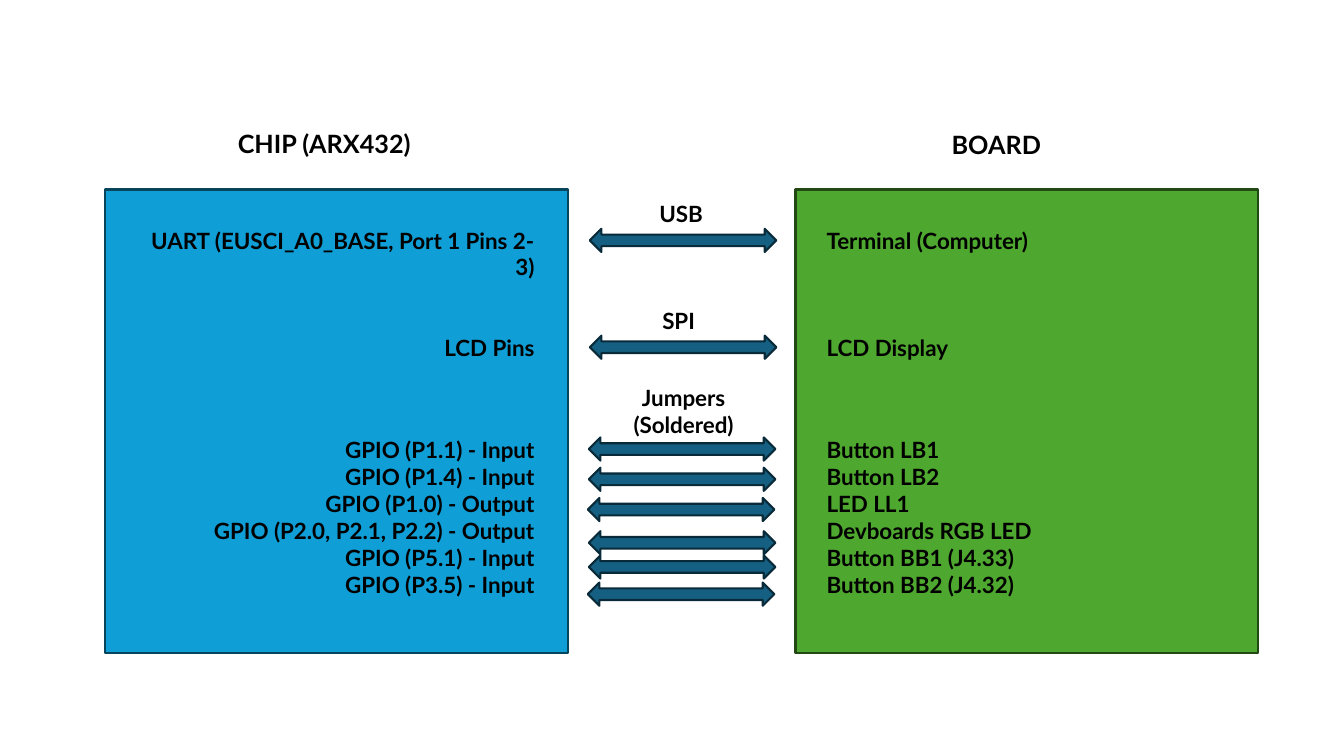
import pptx
import pptx.util
import pptx.dml.color
import pptx.enum.shapes
import pptx.enum.text

Inches = pptx.util.Inches
SHAPES = pptx.enum.shapes.MSO_SHAPE
ALIGN = pptx.enum.text.PP_ALIGN

COLORS = {
    "chip": "0F9ED5", "chip_line": "07455D",
    "board": "4EA72E", "board_line": "224914",
    "arrow": "156082", "arrow_line": "092A39",
    "text": "000000",
}

presentation = pptx.Presentation()
presentation.slide_width = Inches(13.33)
presentation.slide_height = Inches(7.5)
slide = presentation.slides.add_slide(presentation.slide_layouts[6])


def add_block(kind, left, top, width, height, color):
    shape = slide.shapes.add_shape(
        kind, Inches(left), Inches(top), Inches(width), Inches(height))
    shape.shadow.inherit = False
    shape.fill.solid()
    shape.fill.fore_color.rgb = pptx.dml.color.RGBColor.from_string(COLORS[color])
    shape.line.color.rgb = pptx.dml.color.RGBColor.from_string(COLORS[color + "_line"])
    shape.line.width = pptx.util.Pt(1.5)


def add_text(lines, left, top, width, height, align=ALIGN.LEFT, size=16):
    box = slide.shapes.add_textbox(
        Inches(left), Inches(top), Inches(width), Inches(height))
    frame = box.text_frame
    frame.word_wrap = True
    for index, line in enumerate(lines):
        paragraph = frame.paragraphs[0] if index == 0 else frame.add_paragraph()
        paragraph.alignment = align
        run = paragraph.add_run()
        run.text = line
        run.font.name = "Lato"
        run.font.size = pptx.util.Pt(size)
        run.font.bold = True
        run.font.color.rgb = pptx.dml.color.RGBColor.from_string(COLORS["text"])


# Chip and board blocks
add_block(SHAPES.RECTANGLE, 1.04, 1.88, 4.59, 4.6, "chip")
add_block(SHAPES.RECTANGLE, 7.89, 1.88, 4.59, 4.6, "board")

# Headings
add_text(["CHIP (ARX432)"], 2.26, 1.22, 3.21, 0.4, size=18)
add_text(["BOARD"], 9.34, 1.23, 3.21, 0.4, size=18)

# Matching groups of chip pins and board parts: top, height, pins, parts
groups = [
    (2.2, 0.37, ["UART (EUSCI_A0_BASE, Port 1 Pins 2-3)"], ["Terminal (Computer)"]),
    (3.27, 0.37, ["LCD Pins"], ["LCD Display"]),
    (4.28, 1.72,
     ["GPIO (P1.1) - Input", "GPIO (P1.4) - Input", "GPIO (P1.0) - Output",
      "GPIO (P2.0, P2.1, P2.2) - Output", "GPIO (P5.1) - Input",
      "GPIO (P3.5) - Input"],
     ["Button LB1", "Button LB2", "LED LL1", "Devboards RGB LED",
      "Button BB1 (J4.33)", "Button BB2 (J4.32)"]),
]
for top, height, pins, parts in groups:
    add_text(pins, 1.26, top, 4.14, height, ALIGN.RIGHT)
    add_text(parts, 8.1, top, 4.14, height)

# Connections between chip and board
arrows = [(5.85, 2.27), (5.85, 3.33), (5.84, 4.34), (5.84, 4.64),
          (5.83, 4.94), (5.84, 5.27), (5.84, 5.51), (5.83, 5.78)]
for left, top in arrows:
    add_block(SHAPES.LEFT_RIGHT_ARROW, left, top, 1.85, 0.23, "arrow")

# Connection labels
add_text(["USB"], 6.44, 1.94, 0.69, 0.37)
add_text(["SPI"], 6.47, 3, 0.69, 0.37)
add_text(["Jumpers (Soldered)"], 6.09, 3.76, 1.38, 0.64, ALIGN.CENTER)

presentation.save("out.pptx")
